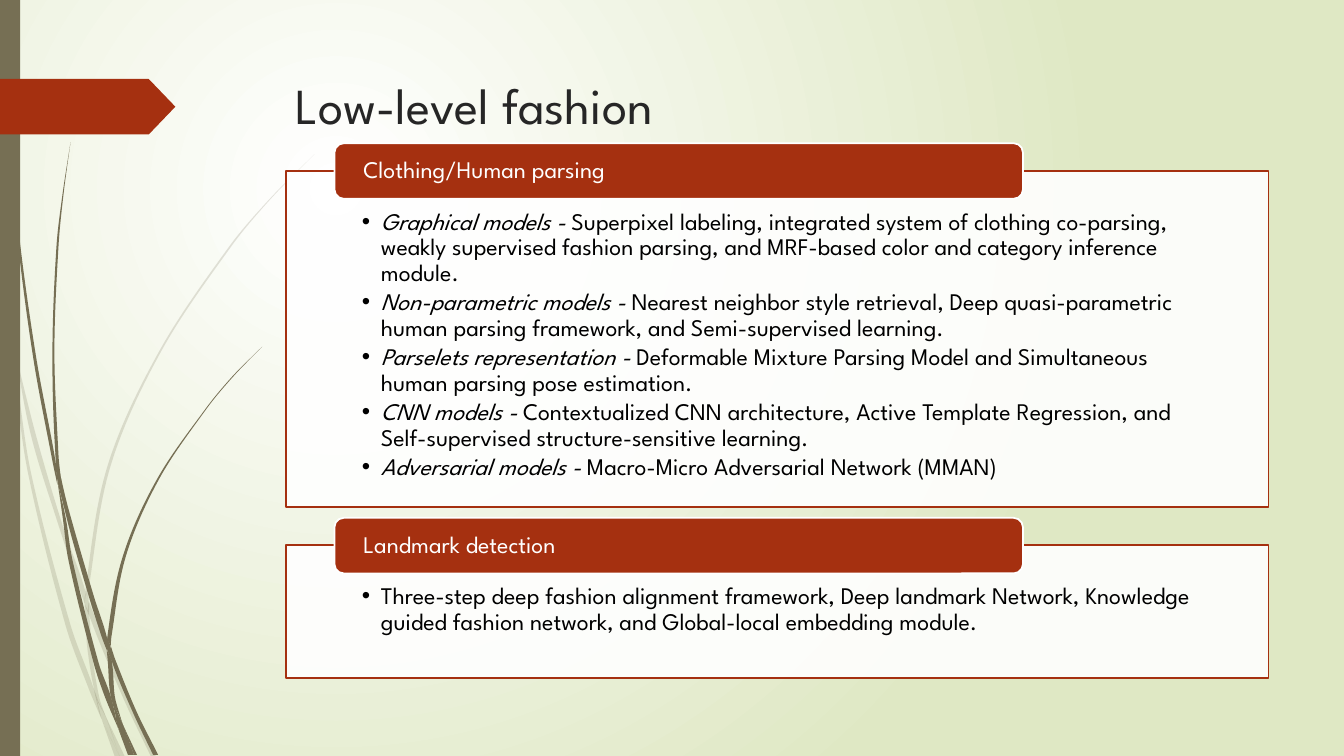
from lxml import etree
from pptx import Presentation
from pptx.dml.color import RGBColor
from pptx.enum.shapes import MSO_SHAPE as Shape
from pptx.enum.text import MSO_ANCHOR as Anchor, MSO_AUTO_SIZE as AutoSize, PP_ALIGN as Align
from pptx.oxml.ns import qn
from pptx.util import Cm, Pt

COLORS = {
    "accent": "A53010", "stem": "766F54", "white": "FFFFFF",
    "meadow": "DFE8C4", "heading": "262626", "text": "000000",
}
FONT = "League Spartan"
TWO_CONTENT = 3
BLADE_UNIT = 0.0254  # cm; blades are drawn on a grid of 1/100 inch
PRECISION = 100

# Each section of a blade lists (x, y, width) along its middle, from top to bottom.
PALE_BLADES = [
    [(0, 282, 0), (2, 299, 4), (8.7, 333, 2), (11, 350, 0)],
    [(14, 345, 0), (33.5, 433, 5), (60, 521, 4), (82, 586, 5), (84, 599, 0)],
    [(88, 596, 0), (90.5, 609, 5), (125, 693, 5), (152.5, 751, 5)],
    [(105, 711, 0), (121.5, 751, 5)],
    [(11, 350, 0), (15.5, 376, 2), (29.5, 470, 3), (67.5, 620, 5), (90.5, 683, 5), (101, 714, 0)],
    [(84, 599, 0), (86.3, 609, 4), (89, 646, 4), (97, 692, 3), (105, 711, 0)],
    [(312, 153, 0), (268, 197.5, 1), (228.5, 244.5, 2), (159, 348.5, 2), (108.5, 461.5, 3),
     (86.5, 584, 3), (88, 596, 0)],
    [(101, 714, 0), (116.5, 751, 5)],
    [(85, 586, 0), (86, 598, 4), (88, 610, 0)],
    [(93, 683, 0), (97.2, 697, 2), (103, 712, 5), (119, 751, 0)],
]
DARK_BLADES = [
    [(3.5, 0, 1), (7.5, 110, 1), (18, 233, 2), (34.5, 355, 3), (53.5, 457, 3), (57, 481, 0)],
    [(60, 472, 0), (66, 505, 4), (90.5, 591, 5), (103.5, 632, 5), (106, 645, 0)],
    [(110, 641, 0), (113, 656, 4), (134, 707, 4), (154.5, 749, 5)],
    [(57, 477, 0), (64, 515, 3), (70, 556, 4), (95.5, 658, 5), (107, 691, 6), (117, 722, 0)],
    [(70, 141, 0), (62.5, 193, 1), (57, 245, 2), (53, 349, 2), (56.5, 451, 3), (60, 472, 0)],
    [(122, 719, 0), (134.5, 749, 3)],
    [(55, 449, 0), (58.5, 474, 4), (64, 505, 0)],
    [(260, 344, 0), (231, 373.5, 1), (204.5, 405.5, 1), (157, 475, 2), (123.5, 551.5, 3),
     (108.5, 632, 4), (110, 641, 0)],
    [(117, 722, 0), (129, 749, 4)],
    [(106, 645, 0), (109, 656, 4), (112, 691, 4), (118.7, 710, 1), (122, 719, 0)],
    [(106, 631, 0), (108, 643, 4), (111, 656, 0)],
    [(110, 691, 0), (116, 709, 3), (119.5, 720, 6), (131.5, 749, 3)],
]

PARSING = [
    ("Graphical models - ", "Superpixel labeling, integrated system of clothing co-parsing, weakly "
     "supervised fashion parsing, and MRF-based color and category inference module."),
    ("Non-parametric models - ", "Nearest neighbor style retrieval, Deep quasi-parametric human "
     "parsing framework, and Semi-supervised learning."),
    ("Parselets representation - ", "Deformable Mixture Parsing Model and Simultaneous human "
     "parsing pose estimation."),
    ("CNN models - ", "Contextualized CNN architecture, Active Template Regression, and "
     "Self-supervised structure-sensitive learning."),
    ("Adversarial models - ", "Macro-Micro Adversarial Network (MMAN)"),
]
LANDMARKS = [
    ("", "Three-step deep fashion alignment framework, Deep landmark Network, Knowledge guided "
     "fashion network, and Global-local embedding module."),
]


def bend(nodes):
    """Turn the straight segments along one edge of a blade into smooth curves."""
    points = [(int(node[0].get("x")), int(node[0].get("y"))) for node in nodes]
    slopes = [(after[0] - before[0]) / (after[1] - before[1])
              for before, after in zip(points[:1] + points[:-1], points[1:] + points[-1:])]
    for i, node in enumerate(nodes[1:]):
        (x1, y1), (x2, y2) = points[i:i + 2]
        third = (y2 - y1) / 3
        node.tag = qn("a:cubicBezTo")
        handles = [(x1 + slopes[i] * third, y1 + third), (x2 - slopes[i + 1] * third, y2 - third)]
        for position, (x, y) in enumerate(handles):
            node.insert(position, etree.Element(qn("a:pt"), x=str(round(x)), y=str(round(y))))


class FashionSlide:
    """Holds the slide and the style shared by its elements."""

    def __init__(self, presentation):
        self.slide = presentation.slides.add_slide(presentation.slide_layouts[TWO_CONTENT])
        self.shapes = self.slide.shapes

    def color(self, name):
        return RGBColor.from_string(COLORS[name])

    def paint(self, shape, fill, line=None, opacity=100):
        shape.fill.solid()
        shape.fill.fore_color.rgb = self.color(fill)
        if opacity < 100:
            tint = shape.element.spPr.find(qn("a:solidFill"))[0]
            etree.SubElement(tint, qn("a:alpha"), val=str(opacity * 1000))
        if line:
            shape.line.color.rgb = self.color(line)
            shape.line.width = Pt(1.25)
        else:
            shape.line.fill.background()

    def style(self, run, size, color, italic=False):
        run.font.name = FONT
        run.font.size = Pt(size)
        run.font.italic = italic
        run.font.color.rgb = self.color(color)

    def place(self, shape, left, top, width, height):
        shape.left, shape.top = Cm(left), Cm(top)
        shape.width, shape.height = Cm(width), Cm(height)

    def bring_to_front(self, shape):
        self.shapes.element.append(shape.element)

    def background(self):
        """Fill the slide with a round gradient centred in its upper left quarter."""
        fill = self.slide.background.fill
        fill.gradient()
        for stop, name in zip(fill.gradient_stops, ("white", "meadow")):
            stop.color.rgb = self.color(name)
        gradient = next(self.slide.element.iter(qn("a:gradFill")))
        gradient.remove(gradient.find(qn("a:lin")))
        glow = etree.SubElement(gradient, qn("a:path"), path="circle")
        etree.SubElement(glow, qn("a:fillToRect"), l="50000", t="50000", r="100000", b="100000")

    def blade(self, knots, opacity=100):
        right = [(x + width / 2, y) for x, y, width in knots]
        left = [(x - width / 2, y) for x, y, width in reversed(knots)]
        outline = [(x * PRECISION, y * PRECISION) for x, y in right + left]
        builder = self.shapes.build_freeform(*outline[0], scale=Cm(BLADE_UNIT) / PRECISION)
        builder.add_line_segments(outline[1:])
        grass = builder.convert_to_shape()
        nodes = list(next(grass.element.iter(qn("a:path"))))[:len(outline)]
        bend(nodes[:len(knots)])
        bend(nodes[len(knots):])
        grass.shadow.inherit = False
        self.paint(grass, "stem", opacity=opacity)

    def block(self, kind, left, top, width, height, fill, line=None):
        block = self.shapes.add_shape(kind, Cm(left), Cm(top), Cm(width), Cm(height))
        block.shadow.inherit = False
        self.paint(block, fill, line)
        return block

    def title(self, text):
        title = self.shapes.title
        self.place(title, 7.19, 1.73, 24.77, 3.56)
        frame = title.text_frame
        frame.text = text
        frame.auto_size = AutoSize.NONE
        frame.vertical_anchor = Anchor.TOP
        frame.paragraphs[0].alignment = Align.LEFT
        self.style(frame.paragraphs[0].runs[0], 36, "heading")
        self.bring_to_front(title)

    def panel(self, index, heading, items, top, height):
        """Turn a body placeholder into a framed list with a heading tab on its top edge."""
        body = self.slide.placeholders[index]
        self.place(body, 7.2, top, 24.77, height)
        self.paint(body, "white", "accent", opacity=90)
        frame = body.text_frame
        frame.auto_size = AutoSize.NONE
        frame.margin_left = frame.margin_right = Cm(1.92)
        frame.margin_top, frame.margin_bottom = Cm(0.98), Cm(0.33)
        frame.text = "\n".join(lead for lead, _ in items)
        for paragraph, (_, detail) in zip(frame.paragraphs, items):
            for lead_run in paragraph.runs:
                self.style(lead_run, 17, "text", italic=True)
            detail_run = paragraph.add_run()
            detail_run.text = detail
            self.style(detail_run, 17, "text")
            paragraph.line_spacing = 0.9
            paragraph.space_before, paragraph.space_after = Pt(0), Pt(2.55)
            layout = paragraph._p.get_or_add_pPr()
            layout.set("marL", str(Cm(0.48)))
            layout.set("indent", str(-Cm(0.48)))
        self.bring_to_front(body)
        self.tab(heading, top - 0.69)

    def tab(self, heading, top):
        tab = self.block(Shape.ROUNDED_RECTANGLE, 8.43, top, 17.35, 1.4, "accent", "white")
        frame = tab.text_frame
        frame.text = heading
        frame.word_wrap = True
        frame.vertical_anchor = Anchor.MIDDLE
        frame.margin_left = frame.margin_right = Cm(0.66)
        frame.margin_top = frame.margin_bottom = 0
        frame.paragraphs[0].alignment = Align.LEFT
        frame.paragraphs[0].line_spacing = 0.9
        self.style(frame.paragraphs[0].runs[0], 17, "white")


def main():
    presentation = Presentation()
    presentation.slide_width, presentation.slide_height = Cm(33.87), Cm(19.05)
    page = FashionSlide(presentation)
    page.background()
    for blades, opacity in ((PALE_BLADES, 20), (DARK_BLADES, 100)):
        for knots in blades:
            page.blade(knots, opacity)
    page.block(Shape.RECTANGLE, 0, 0, 0.51, 19.05, "stem")
    marker = page.block(Shape.PENTAGON, 0, 1.99, 4.42, 1.4, "accent")
    marker.adjustments[0] = 0.48
    page.title("Low-level fashion")
    page.panel(1, "Clothing/Human parsing", PARSING, top=4.3, height=8.48)
    page.panel(2, "Landmark detection", LANDMARKS, top=13.74, height=3.35)
    presentation.save("out.pptx")


if __name__ == "__main__":
    main()
